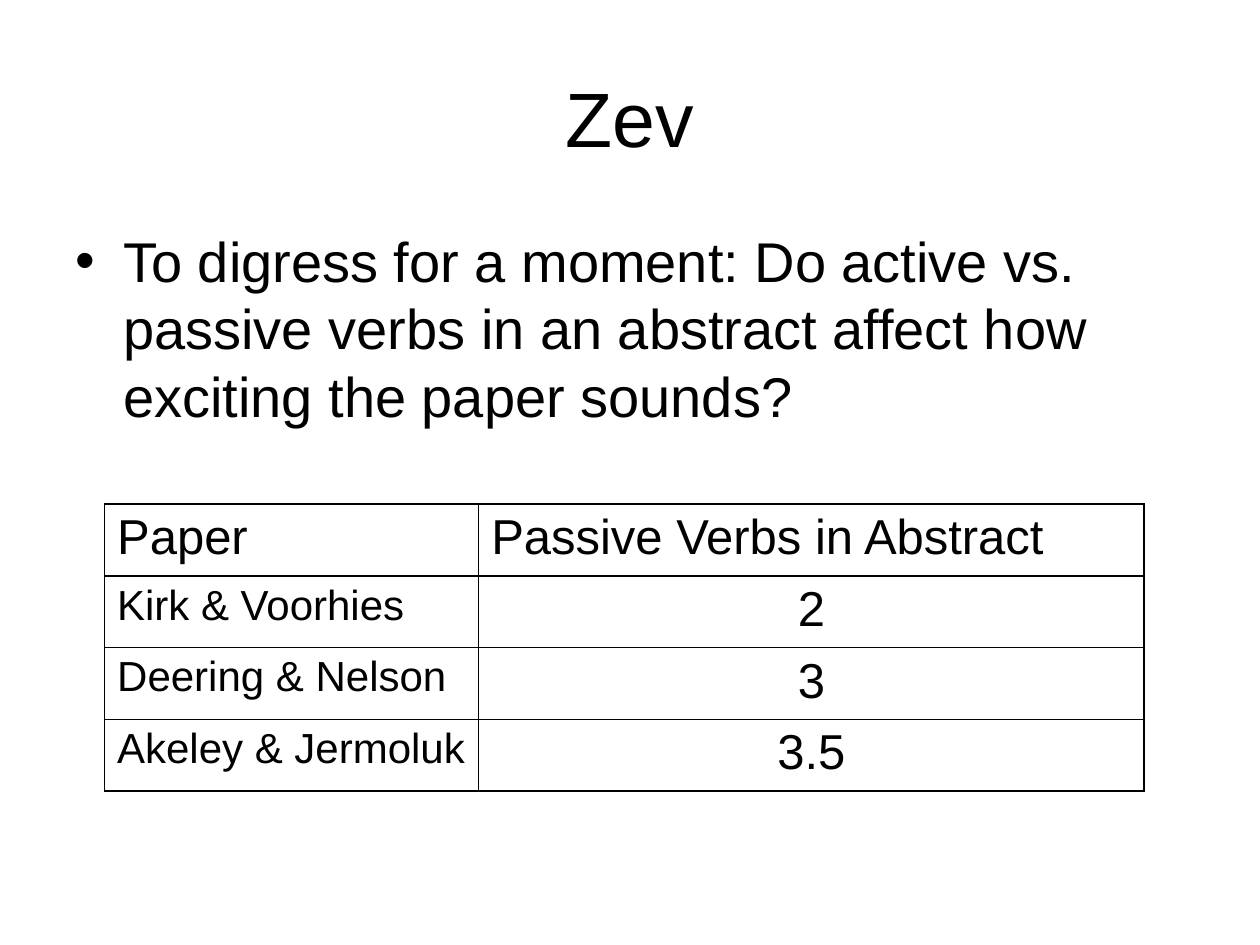
from pptx import Presentation, oxml, util as u
from pptx.dml.color import RGBColor
from pptx.enum import text as t
from pptx.oxml.ns import qn

BLACK = RGBColor(0, 0, 0)
WHITE = RGBColor(255, 255, 255)
FONT = "Arial"
THICK, THIN = 1.08, 0.45
NS = 'xmlns:a="http://schemas.openxmlformats.org/drawingml/2006/main"'

ROWS = [
    ("Paper", "Passive Verbs in Abstract"),
    ("Kirk & Voorhies", "2"),
    ("Deering & Nelson", "3"),
    ("Akeley & Jermoluk", "3.5"),
]
COLS = (2.97, 5.28)
ROW_H = 0.57


def place(shape, left, top, width, height):
    shape.left, shape.top = u.Inches(left), u.Inches(top)
    shape.width, shape.height = u.Inches(width), u.Inches(height)


def write(para, words, size, align=t.PP_ALIGN.LEFT):
    para.alignment = align
    run = para.add_run()
    run.text = words
    font = run.font
    font.name, font.size = FONT, u.Pt(size)
    font.color.rgb = BLACK


def add_title(slide, words):
    title = slide.shapes.title
    place(title, 0.5, 0.3, 9, 1.25)
    title.text_frame.vertical_anchor = t.MSO_ANCHOR.MIDDLE
    write(title.text_frame.paragraphs[0], words, 44, t.PP_ALIGN.CENTER)


def add_bullet(slide, words):
    box = slide.shapes.add_textbox(0, 0, 0, 0)
    place(box, 0.5, 1.75, 9, 1.92)
    frame = box.text_frame
    frame.word_wrap = True
    para = frame.paragraphs[0]
    # Hanging indent and bullet mark
    props = para._p.get_or_add_pPr()
    props.set("marL", str(u.Inches(0.38)))
    props.set("indent", str(-u.Inches(0.38)))
    props.append(oxml.parse_xml(f'<a:buFont {NS} typeface="{FONT}"/>'))
    props.append(oxml.parse_xml(f'<a:buChar {NS} char="•"/>'))
    write(para, words, 32)


def set_edges(cell, widths):
    props = cell._tc.get_or_add_tcPr()
    for side, width in zip("LRTB", widths):
        props.append(oxml.parse_xml(
            f'<a:ln{side} {NS} w="{u.Pt(width)}"><a:solidFill>'
            f'<a:srgbClr val="{BLACK}"/></a:solidFill></a:ln{side}>'))


def add_grid(slide):
    count = len(ROWS)
    frame = slide.shapes.add_table(
        count, len(COLS), u.Inches(0.83), u.Inches(4),
        u.Inches(sum(COLS)), u.Inches(ROW_H * count))
    table = frame.table
    table.first_row = table.horz_banding = False
    # Plain style without theme borders
    style = table._tbl.tblPr.find(qn("a:tableStyleId"))
    style.text = "{2D5ABB26-0587-4C30-8999-92F81FD0307C}"
    for col, width in zip(table.columns, COLS):
        col.width = u.Inches(width)
    for r, row in enumerate(ROWS):
        table.rows[r].height = u.Inches(ROW_H)
        for c, words in enumerate(row):
            cell = table.cell(r, c)
            # Outer edges and the header rule are thick
            heavy = (c == 0, c == 1, r < 2, r in (0, count - 1))
            set_edges(cell, [THICK if h else THIN for h in heavy])
            cell.fill.solid()
            cell.fill.fore_color.rgb = WHITE
            name, value = r > 0 and c == 0, r > 0 and c == 1
            write(cell.text_frame.paragraphs[0], words, 24 if name else 28,
                  t.PP_ALIGN.CENTER if value else t.PP_ALIGN.LEFT)


def main():
    deck = Presentation()
    deck.slide_width, deck.slide_height = u.Inches(10), u.Inches(7.5)
    slide = deck.slides.add_slide(deck.slide_layouts[5])
    add_title(slide, "Zev")
    add_bullet(slide, "To digress for a moment: Do active vs. passive verbs "
                      "in an abstract affect how exciting the paper sounds?")
    add_grid(slide)
    deck.save("out.pptx")


if __name__ == "__main__":
    main()
